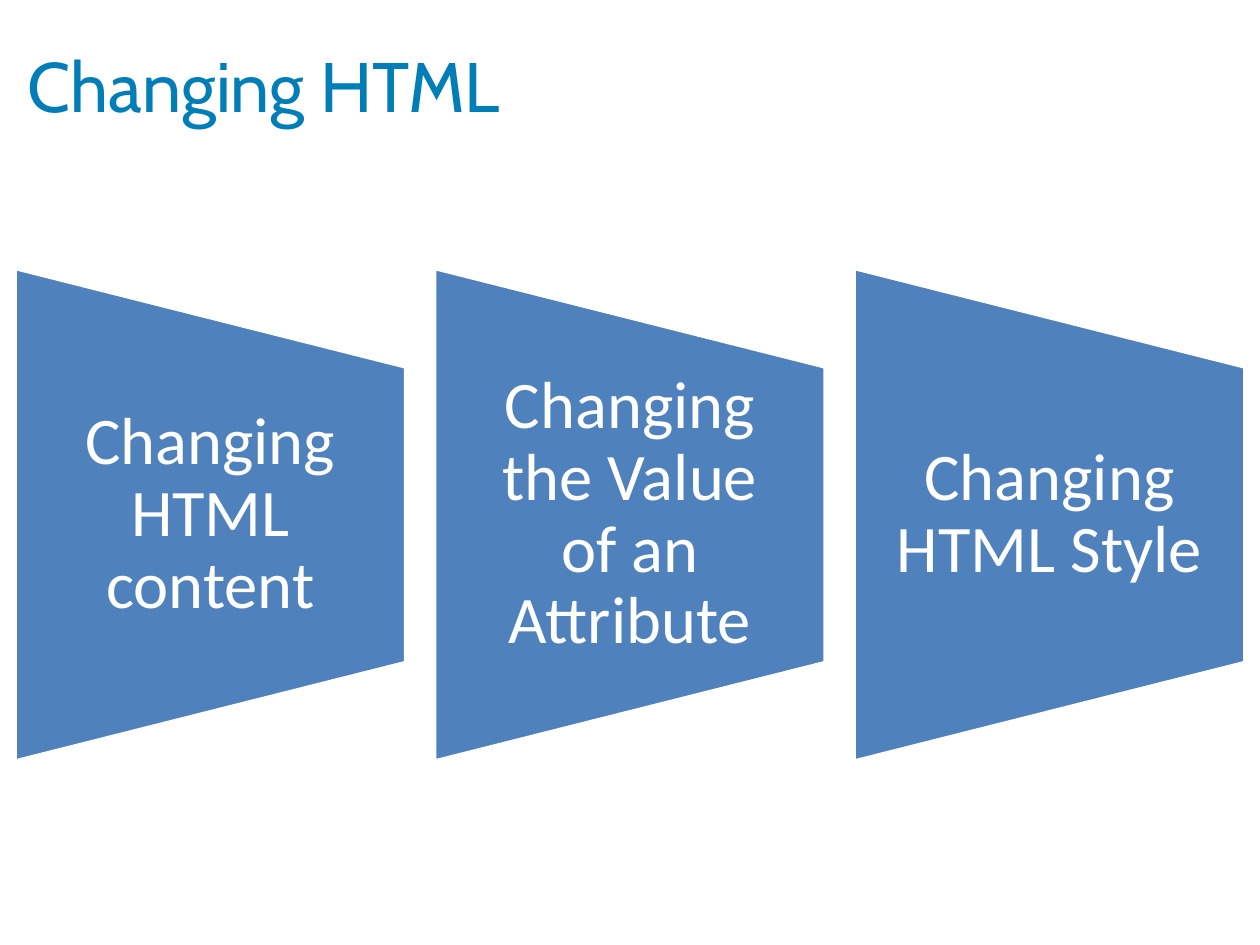
from pptx import Presentation
from pptx.dml.color import RGBColor
from pptx.enum.shapes import MSO_SHAPE as Shape
from pptx.enum.text import MSO_ANCHOR as Anchor, PP_ALIGN as Align
from pptx.util import Inches, Pt

BLUE = RGBColor(0x01, 0x7E, 0xB8)
STEEL = RGBColor(0x4F, 0x81, 0xBD)
WHITE = RGBColor(0xFF, 0xFF, 0xFF)

TOPICS = [
    "Changing HTML content",
    "Changing the Value of an Attribute",
    "Changing HTML Style",
]


def style(item, **values):
    for name, value in values.items():
        setattr(item, name, value)


def write(frame, text, align, size, face, color):
    style(frame, word_wrap=True, vertical_anchor=Anchor.MIDDLE)
    para = frame.paragraphs[0]
    para.alignment = align
    run = para.add_run()
    run.text = text
    style(run.font, size=Pt(size), name=face)
    run.font.color.rgb = color
    return para


def add_title(slide, text, left, top, width, height):
    title = slide.shapes.title
    style(title, left=Inches(left), top=Inches(top),
          width=Inches(width), height=Inches(height))
    write(title.text_frame, text, Align.LEFT, 40, "Cabin", BLUE)


def add_card(slide, text, left, top, width, height):
    # Trapezoid, turned a quarter about the centre of its box
    shift = (height - width) / 2
    card = slide.shapes.add_shape(
        Shape.FLOWCHART_MANUAL_OPERATION, Inches(left - shift),
        Inches(top + shift), Inches(height), Inches(width))
    card.rotation = 270
    card.shadow.inherit = False
    card.fill.solid()
    card.fill.fore_color.rgb = STEEL
    card.line.color.rgb = WHITE
    card.line.width = Pt(2)

    # Upright label over the middle three fifths
    label = slide.shapes.add_textbox(
        Inches(left), Inches(top + height / 5),
        Inches(width), Inches(height * 3 / 5))
    frame = label.text_frame
    style(frame, margin_left=Inches(0.26), margin_right=Inches(0.26),
          margin_top=0, margin_bottom=0)
    para = write(frame, text, Align.CENTER, 38, "Calibri", WHITE)
    para.line_spacing = 0.9


def add_cards(slide, topics, left, top, width, height, gap):
    size = (width - gap * (len(topics) - 1)) / len(topics)
    for index, text in enumerate(topics):
        add_card(slide, text, left + index * (size + gap), top, size, height)


def main():
    deck = Presentation()
    style(deck, slide_width=Inches(10), slide_height=Inches(7.5))
    slide = deck.slides.add_slide(deck.slide_layouts[5])
    add_title(slide, "Changing HTML", 0.12, 0.17, 9.76, 1)
    add_cards(slide, TOPICS, 0.12, 2.13, 9.76, 3.91, 0.23)
    deck.save("out.pptx")


if __name__ == "__main__":
    main()
